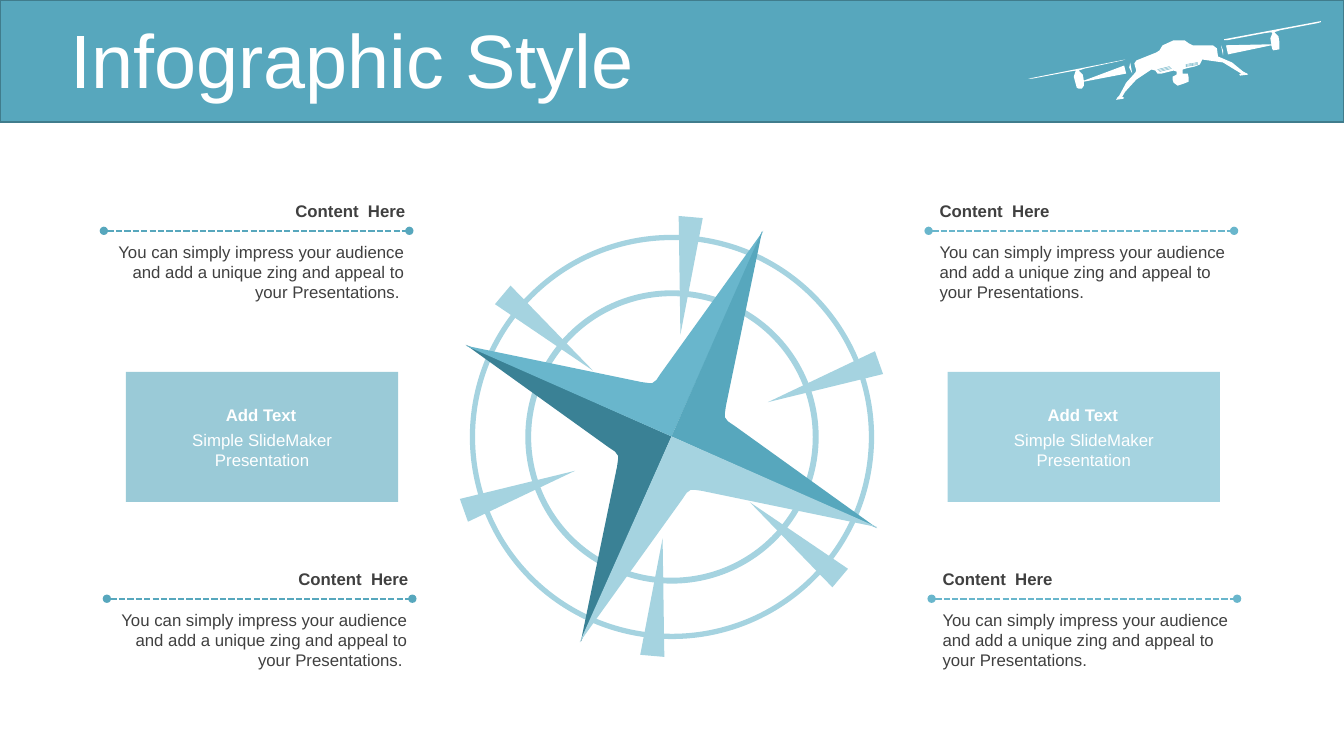
import math

import lxml.etree
import pptx
import pptx.dml.color
import pptx.enum.dml
import pptx.enum.shapes
import pptx.enum.text
import pptx.oxml.ns
import pptx.util

PX = 9144  # EMU per px, 100 px to the inch
FONT = "Arial"
TEAL, SKY, PALE, DEEP = "57A7BD", "69B6CC", "A5D3E0", "3A8195"
WHITE, INK = "FFFFFF", "404040"
LEFT, CENTER, RIGHT = (pptx.enum.text.PP_ALIGN.LEFT, pptx.enum.text.PP_ALIGN.CENTER,
                       pptx.enum.text.PP_ALIGN.RIGHT)
MIDDLE = pptx.enum.text.MSO_ANCHOR.MIDDLE
SHAPES = pptx.enum.shapes.MSO_SHAPE
hex_color = pptx.dml.color.RGBColor.from_string

deck = pptx.Presentation()
deck.slide_width, deck.slide_height = 1333 * PX, 750 * PX
page = deck.slides.add_slide(deck.slide_layouts[6])


def paint(shape, color):
    shape.shadow.inherit = False
    shape.fill.solid()
    shape.fill.fore_color.rgb = hex_color(color)
    shape.line.fill.background()


def add_text(text, left, top, width, height, color, align=LEFT, size=12, bold=False):
    box = page.shapes.add_textbox(left * PX, top * PX, width * PX, height * PX)
    box.text_frame.word_wrap = True
    box.text_frame.text = text
    para = box.text_frame.paragraphs[0]
    para.alignment = align
    font = para.runs[0].font
    font.name, font.size, font.bold = FONT, pptx.util.Pt(size), bold
    font.color.rgb = hex_color(color)
    return box


# Header band and title
band = page.shapes.add_shape(SHAPES.RECTANGLE, 0, 0, 1333 * PX, 121 * PX)
paint(band, TEAL)
band.line.color.rgb = hex_color("407C8C")
band.line.width = pptx.util.Pt(1)
title = add_text("Infographic Style", 60, 24, 1241, 79, WHITE, size=54)
title.text_frame.vertical_anchor = MIDDLE
title.text_frame.paragraphs[0].line_spacing = 0.9

# Compass rings and spikes
hub_x, hub_y = 666, 433
for size, thickness in [(291, 0.02), (401, 0.013)]:
    ring = page.shapes.add_shape(SHAPES.DONUT, (hub_x - size // 2) * PX,
                                 (hub_y - size // 2) * PX, size * PX, size * PX)
    ring.adjustments[0] = thickness
    paint(ring, PALE)

spike_width, spike_height, spike_radius = 24, 117, 160
for angle in [5, 70.4, 130, 185, 250.4, 310]:
    center_x = hub_x + spike_radius * math.sin(math.radians(angle))
    center_y = hub_y - spike_radius * math.cos(math.radians(angle))
    spike = page.shapes.add_shape(
        SHAPES.ISOSCELES_TRIANGLE, round((center_x - spike_width / 2) * PX),
        round((center_y - spike_height / 2) * PX), spike_width * PX, spike_height * PX)
    spike.rotation = (angle + 180) % 360
    paint(spike, PALE)

# Drone outlines
outlines = [
    # right rotor
    ([(1214, 39), (1310, 21), (1310, 22), (1307, 23), (1270, 30), (1264, 32), (1268, 36),
      (1269, 42), (1269, 49), (1263, 50), (1262, 49), (1261, 45), (1218, 54), (1216, 45),
      (1261, 44), (1260, 38), (1262, 33), (1261, 32), (1254, 33), (1217, 40), (1214, 40)], WHITE),
    # left rotor
    ([(1115, 65), (1117, 73), (1075, 81), (1075, 85), (1073, 88), (1070, 88), (1068, 87),
      (1065, 76), (1067, 70), (1061, 71), (1024, 78), (1020, 78), (1116, 59), (1113, 60),
      (1076, 68), (1070, 70), (1074, 74), (1075, 80)], WHITE),
    # arm joints
    ([(1121, 62), (1123, 73), (1120, 67)], WHITE),
    ([(1211, 45), (1213, 50), (1213, 55)], WHITE),
    # body, legs and camera
    ([(1235, 72), (1233, 71), (1222, 62), (1208, 56), (1207, 48), (1203, 45), (1183, 45),
      (1179, 43), (1175, 40), (1164, 40), (1153, 45), (1150, 50), (1147, 52), (1127, 60),
      (1125, 63), (1127, 70), (1126, 72), (1117, 82), (1110, 95), (1108, 97), (1107, 99),
      (1114, 98), (1115, 97), (1113, 96), (1116, 91), (1127, 79), (1142, 69), (1146, 70),
      (1148, 73), (1152, 73), (1164, 70), (1167, 71), (1167, 74), (1163, 76), (1163, 79),
      (1164, 82), (1168, 85), (1174, 83), (1179, 81), (1179, 77), (1178, 73), (1173, 73),
      (1173, 69), (1176, 68), (1185, 66), (1190, 64), (1192, 60), (1192, 59), (1213, 62),
      (1231, 73), (1229, 74), (1230, 75), (1238, 74), (1237, 73)], WHITE),
]

# Compass blades: one blade turned by quarters around the hub
blade = [(0, 0), (-90, 204), (-54, 30), (-53, 23), (-53, 19), (-56, 15), (-62, 11), (-204, -91)]
for color in [DEEP, SKY, TEAL, PALE]:
    outlines.append(([(hub_x + x, hub_y + y) for x, y in blade], color))
    blade = [(-y, x) for x, y in blade]

for points, color in outlines:
    builder = page.shapes.build_freeform(*points[0], scale=PX)
    builder.add_line_segments(points[1:], close=True)
    paint(builder.convert_to_shape(), color)

# Vents on the drone: left, top, right, bottom, colour, width, dotted
lines = []
for step in range(3):
    lines.append((1148 + step, 69 + step, 1160 + step, 66 + step, TEAL, 0.25, False))
    lines.append((1176, 66 - step, 1188, 64 - step, TEAL, 0.25, False))

# Content blocks
message = ("You can simply impress your audience and add a unique zing "
           "and appeal to your Presentations.")
for left, top, rule_left, color, align, ending in [
        (105, 194, 103, TEAL, RIGHT, " "), (108, 559, 106, TEAL, RIGHT, " "),
        (922, 194, 921, SKY, LEFT, ""), (925, 559, 924, SKY, LEFT, "")]:
    heading = add_text("Content  Here", left, top, 307, 30, INK, align, bold=True)
    heading.text_frame.vertical_anchor = MIDDLE
    add_text(message + ending, left, top + 41, 306, 71, INK, align)
    lines.append((rule_left, top + 35, rule_left + 303, top + 35, color, 1.5, True))

# Vents and dotted rules
for x1, y1, x2, y2, color, width, dotted in lines:
    rule = page.shapes.add_connector(pptx.enum.shapes.MSO_CONNECTOR.STRAIGHT,
                                     x1 * PX, y1 * PX, x2 * PX, y2 * PX)
    rule.line.color.rgb = hex_color(color)
    rule.line.width = pptx.util.Pt(width)
    properties = rule.element.spPr
    if dotted:
        rule.line.dash_style = pptx.enum.dml.MSO_LINE.SQUARE_DOT
        outline = properties.find(pptx.oxml.ns.qn("a:ln"))
        for end in ["a:headEnd", "a:tailEnd"]:
            lxml.etree.SubElement(outline, pptx.oxml.ns.qn(end), type="oval")
    lxml.etree.SubElement(properties, pptx.oxml.ns.qn("a:effectLst"))

# Cards
for left, color in [(125, "9ACAD7"), (940, PALE)]:
    card = page.shapes.add_shape(SHAPES.RECTANGLE, left * PX, 369 * PX, 270 * PX, 129 * PX)
    paint(card, color)
    add_text("Add Text", left + 48, 397, 172, 30, WHITE, CENTER, bold=True)
    add_text("Simple SlideMaker Presentation", left + 49, 421, 172, 50, WHITE, CENTER)

deck.save("out.pptx")
